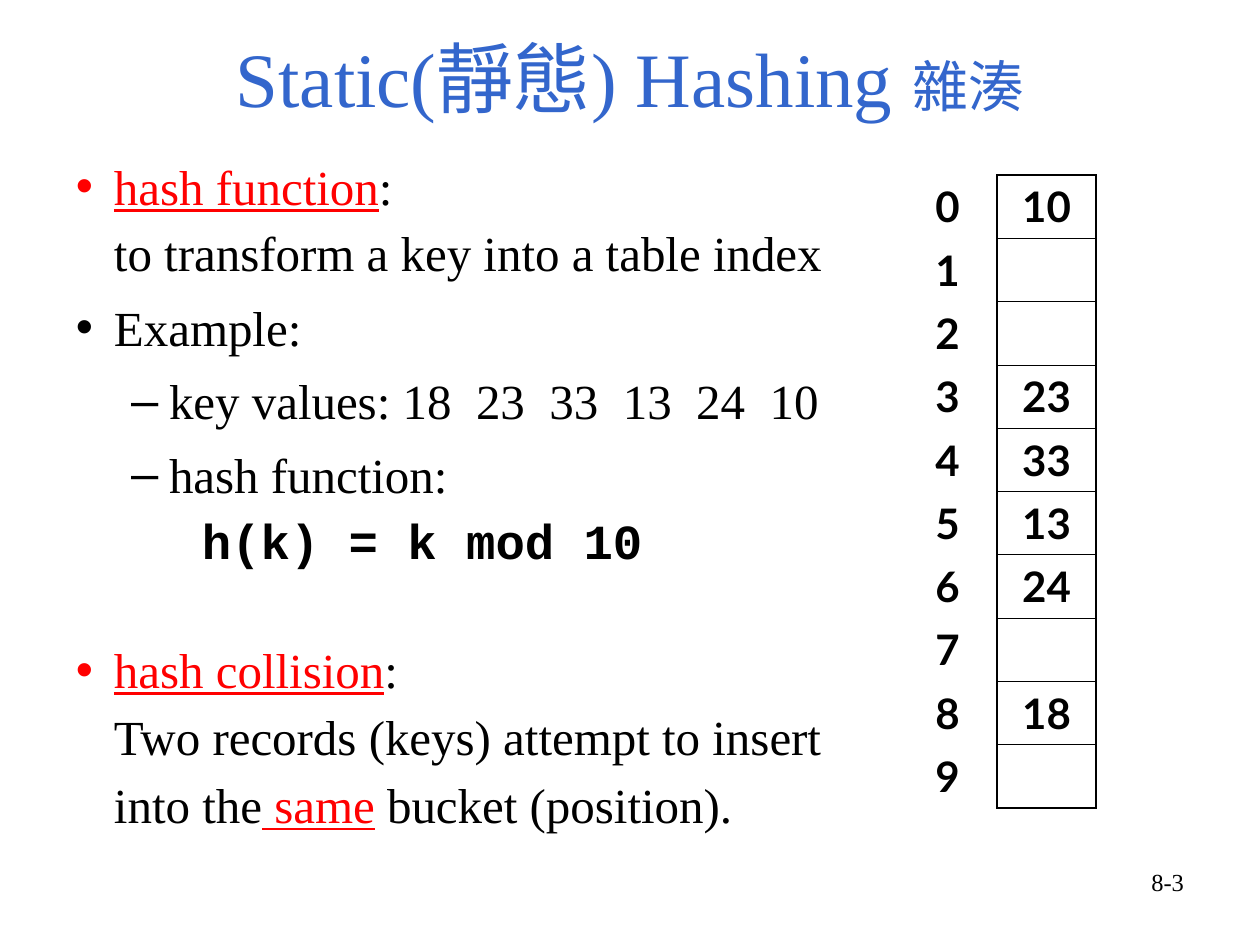
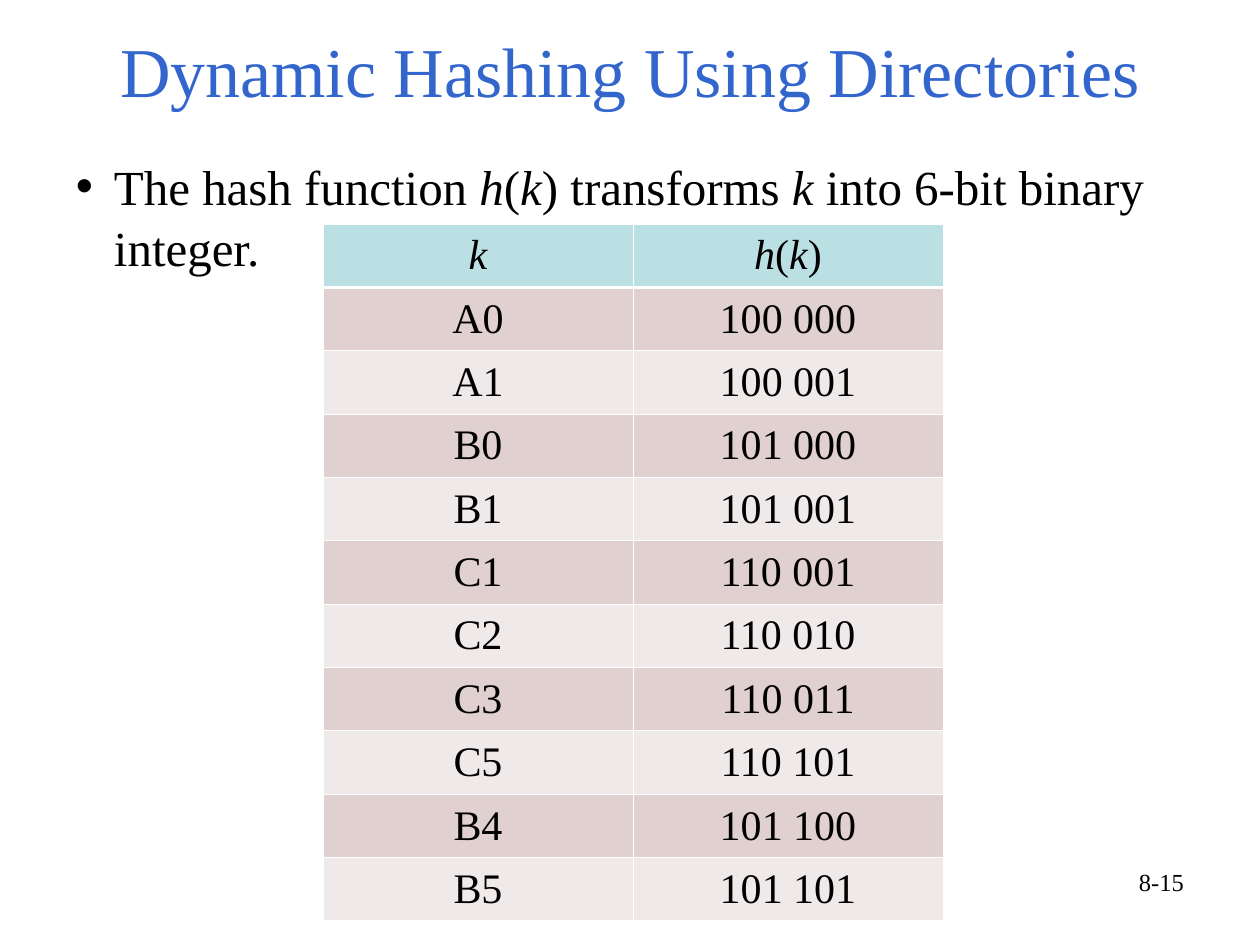
"""Builds two lecture slides on static and dynamic hashing."""
from pptx import Presentation
from pptx.dml.color import RGBColor
from pptx.enum.text import MSO_ANCHOR, MSO_AUTO_SIZE, PP_ALIGN
from pptx.oxml.ns import qn
from pptx.util import Emu, Pt
from lxml.etree import SubElement

BLACK = RGBColor(0x00, 0x00, 0x00)
WHITE = RGBColor(0xFF, 0xFF, 0xFF)
RED = RGBColor(0xFF, 0x00, 0x00)
TITLE_BLUE = RGBColor(0x33, 0x66, 0xCC)
HEADER_TEAL = RGBColor(0xBB, 0xE0, 0xE3)
BAND_DARK = RGBColor(0xE0, 0xD0, 0xCF)
BAND_LIGHT = RGBColor(0xF0, 0xE9, 0xE9)

SERIF, MONO, SANS = "Times New Roman", "Courier New", "Lato"
EMU_PER_PX = 914400 / 126
PAGE_SIZE = (1260, 945)
PAGE_NUMBER_BOX = (903, 861, 294, 66)
TITLE_MARGINS = (13, 6, 13, 13)
BODY_MARGINS = (13, 9, 13, 6)
BULLET_HANG = 38

SPAN_STYLES = {
    "plain": {},
    "italic": {"italic": True},
    "term": {"underline": True, "color": RED},
    "code": {"name": MONO, "bold": True},
}
PARAGRAPH_KINDS = {
    "bullet": (38, "•"),
    "dash": (93, "–"),
    "text": (38, None),
    "formula": (126, None),
}
LOOSE, TIGHT = 1.04, 0.94
GAP, SECTION_GAP = 7, 42

STATIC = {
    "title": [("Static(靜態) Hashing ", 44), ("雜湊", 32)],
    "title_box": (63, 26, 1134, 110),
    "body_box": (63, 145, 825, 699),
    "body": [
        ("bullet", LOOSE, 0, [("hash function", "term"), (":", "plain")]),
        ("text", TIGHT, GAP, [("to transform a key into a table index", "plain")]),
        ("bullet", LOOSE, GAP, [("Example:", "plain")]),
        ("dash", LOOSE, GAP, [("key values: 18  23  33  13  24  10", "plain")]),
        ("dash", LOOSE, GAP, [("hash function:", "plain")]),
        ("formula", TIGHT, GAP, [("h(k) = k mod 10", "code")]),
        ("bullet", TIGHT, SECTION_GAP, [("hash collision", "term"), (":", "plain")]),
        ("text", TIGHT, GAP, [("Two records (keys) attempt to insert", "plain")]),
        ("text", TIGHT, GAP, [("into the", "plain"), (" same", "term"),
                              (" bucket (position).", "plain")]),
    ],
    "number": "8-3",
}
BUCKETS = ["10", "", "", "23", "33", "13", "24", "", "18", ""]
BUCKET_BOX = (898, 175, 198, 633)

DYNAMIC = {
    "title": [("Dynamic Hashing Using Directories", 40)],
    "title_box": (63, 38, 1134, 87),
    "body_box": (63, 145, 1134, 139),
    "body": [
        ("bullet", LOOSE, 0, [
            ("The hash function ", "plain"), ("h", "italic"), ("(", "plain"),
            ("k", "italic"), (") transforms ", "plain"), ("k", "italic"),
            (" into 6-bit binary integer.", "plain")]),
    ],
    "number": "8-15",
}
KEY_HEADER = [
    [("k", "italic")],
    [("h", "italic"), ("(", "plain"), ("k", "italic"), (")", "plain")],
]
KEY_CODES = [
    ("A0", "100 000"), ("A1", "100 001"), ("B0", "101 000"), ("B1", "101 001"),
    ("C1", "110 001"), ("C2", "110 010"), ("C3", "110 011"), ("C5", "110 101"),
    ("B4", "101 100"), ("B5", "101 101"),
]
KEY_BOX = (323, 224, 620, 697)


def px(length):
    """Turn px into EMU."""
    return Emu(round(length * EMU_PER_PX))


def place(shape, bounds):
    """Move and size a shape."""
    shape.left, shape.top, shape.width, shape.height = map(px, bounds)


def set_frame(frame, margins):
    """Fix wrapping, fitting and margins of a text frame."""
    frame.word_wrap = True
    frame.auto_size = MSO_AUTO_SIZE.NONE
    (frame.margin_left, frame.margin_top,
     frame.margin_right, frame.margin_bottom) = map(px, margins)


def add_span(para, text, size, name=SERIF, color=BLACK, bold=False,
             italic=False, underline=False):
    """Add one formatted run."""
    span = para.add_run()
    span.text = text
    font = span.font
    font.size, font.name = Pt(size), name
    font.bold, font.italic, font.underline = bold, italic, underline
    font.color.rgb = color


def set_bullet(para, left, mark, color):
    """Set the indent and the bullet mark of a paragraph."""
    props = para._p.get_or_add_pPr()
    props.set("marL", str(px(left)))
    props.set("indent", str(px(-BULLET_HANG if mark else 0)))
    if mark:
        fill = SubElement(props, qn("a:buClr"))
        SubElement(fill, qn("a:srgbClr"), val=str(color))
        SubElement(props, qn("a:buChar"), char=mark)
    else:
        SubElement(props, qn("a:buNone"))


def fill_body(frame, paragraphs):
    """Write the list paragraphs of a slide."""
    for index, (kind, line_spacing, gap, spans) in enumerate(paragraphs):
        para = frame.add_paragraph() if index else frame.paragraphs[0]
        left, mark = PARAGRAPH_KINDS[kind]
        para.level = 1 if kind == "dash" else 0
        para.line_spacing, para.space_before = line_spacing, Pt(gap)
        set_bullet(para, left, mark, SPAN_STYLES[spans[0][1]].get("color", BLACK))
        for text, style in spans:
            add_span(para, text, 28, **SPAN_STYLES[style])


def add_page(deck, content):
    """Add a slide with its title, body and page number."""
    page = deck.slides.add_slide(deck.slide_layouts[1])
    title, body = page.placeholders
    place(title, content["title_box"])
    set_frame(title.text_frame, TITLE_MARGINS)
    title.text_frame.vertical_anchor = MSO_ANCHOR.BOTTOM
    heading = title.text_frame.paragraphs[0]
    heading.alignment = PP_ALIGN.CENTER
    for text, size in content["title"]:
        add_span(heading, text, size, color=TITLE_BLUE)

    place(body, content["body_box"])
    set_frame(body.text_frame, BODY_MARGINS)
    body.text_frame.vertical_anchor = MSO_ANCHOR.TOP
    fill_body(body.text_frame, content["body"])

    number = page.shapes.add_textbox(*map(px, PAGE_NUMBER_BOX))
    set_frame(number.text_frame, (13, 6, 13, 6))
    para = number.text_frame.paragraphs[0]
    para.alignment = PP_ALIGN.RIGHT
    add_span(para, content["number"], 14)
    return page


def add_grid(page, row_count, bounds):
    """Add a plain two-column table with equal rows and columns."""
    table = page.shapes.add_table(row_count, 2, *map(px, bounds)).table
    table.first_row = table.horz_banding = False
    return table


def set_borders(cell, color, left=0, right=0, top=0, bottom=0):
    """Draw cell borders of the given widths; zero means no line."""
    props = cell._tc.get_or_add_tcPr()
    for side, width in zip("LRTB", (left, right, top, bottom)):
        line = SubElement(props, qn(f"a:ln{side}"), w=str(Pt(width)))
        if width:
            fill = SubElement(line, qn("a:solidFill"))
            SubElement(fill, qn("a:srgbClr"), val=str(color))
        else:
            SubElement(line, qn("a:noFill"))


def centre_cell(cell):
    """Centre a cell both ways and return its paragraph."""
    cell.vertical_anchor = MSO_ANCHOR.MIDDLE
    cell.margin_left = cell.margin_right = px(13)
    cell.margin_top = cell.margin_bottom = px(6)
    para = cell.text_frame.paragraphs[0]
    para.alignment = PP_ALIGN.CENTER
    return para


def add_bucket_table(page):
    """Draw the hash table with its bucket numbers."""
    table = add_grid(page, len(BUCKETS), BUCKET_BOX)
    thick, thin = 1.08, 0.45
    for index, key in enumerate(BUCKETS):
        label, bucket = table.cell(index, 0), table.cell(index, 1)
        set_borders(label, BLACK, right=thick)
        set_borders(bucket, BLACK, left=thick, right=thick,
                    top=thin if index else thick,
                    bottom=thick if index == len(BUCKETS) - 1 else thin)
        for cell, text in ((label, str(index)), (bucket, key)):
            cell.fill.background()
            para = centre_cell(cell)
            if text:
                add_span(para, text, 24, name=SANS, bold=True)


def add_key_table(page):
    """Draw the banded table of keys and their hash codes."""
    rows = [KEY_HEADER] + [[[(text, "plain")] for text in row] for row in KEY_CODES]
    table = add_grid(page, len(rows), KEY_BOX)
    thick, thin = 1.47, 0.45
    for index, row in enumerate(rows):
        band = BAND_DARK if index % 2 else BAND_LIGHT
        for column, spans in enumerate(row):
            cell = table.cell(index, column)
            set_borders(cell, WHITE, left=thin, right=thin,
                        top=thick if index == 1 else thin,
                        bottom=thin if index else thick)
            cell.fill.solid()
            cell.fill.fore_color.rgb = band if index else HEADER_TEAL
            para = centre_cell(cell)
            for text, style in spans:
                add_span(para, text, 24, **SPAN_STYLES[style])


def main():
    """Build and save the deck."""
    deck = Presentation()
    deck.slide_width, deck.slide_height = map(px, PAGE_SIZE)
    add_bucket_table(add_page(deck, STATIC))
    add_key_table(add_page(deck, DYNAMIC))
    deck.save("out.pptx")


if __name__ == "__main__":
    main()
